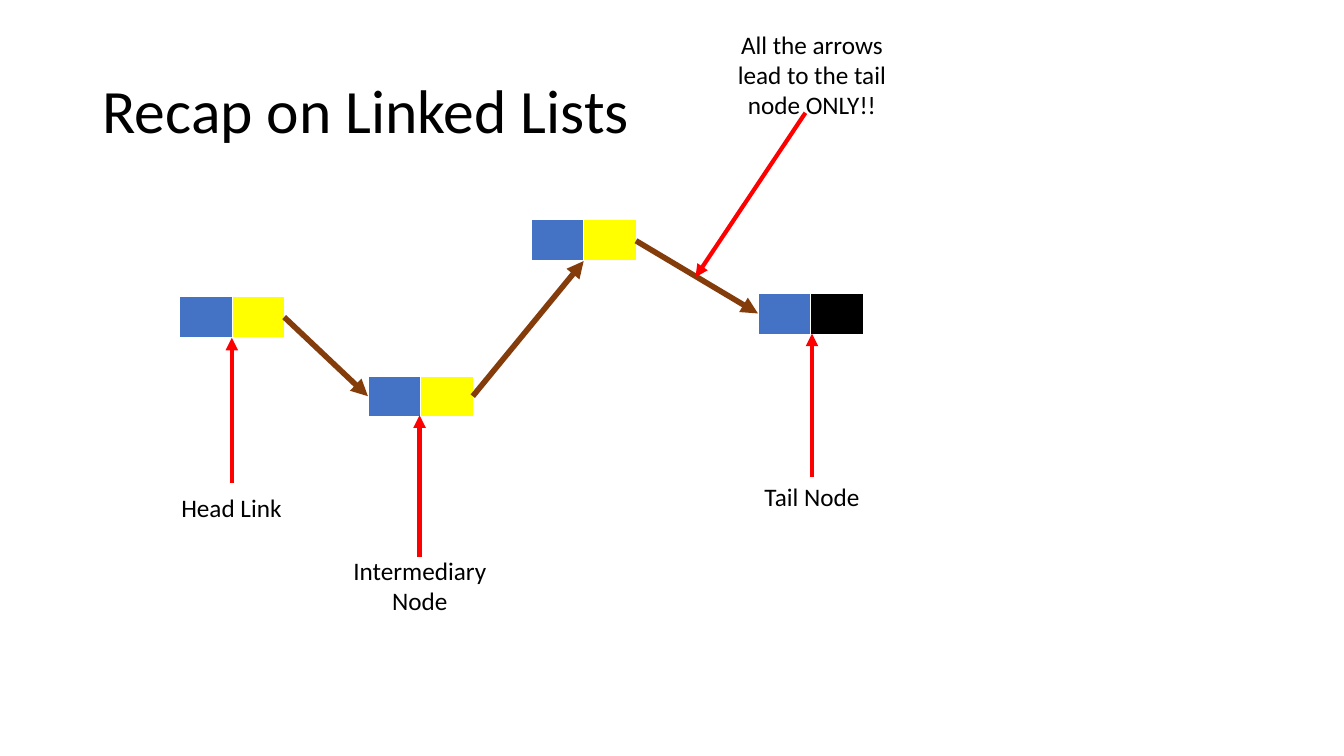
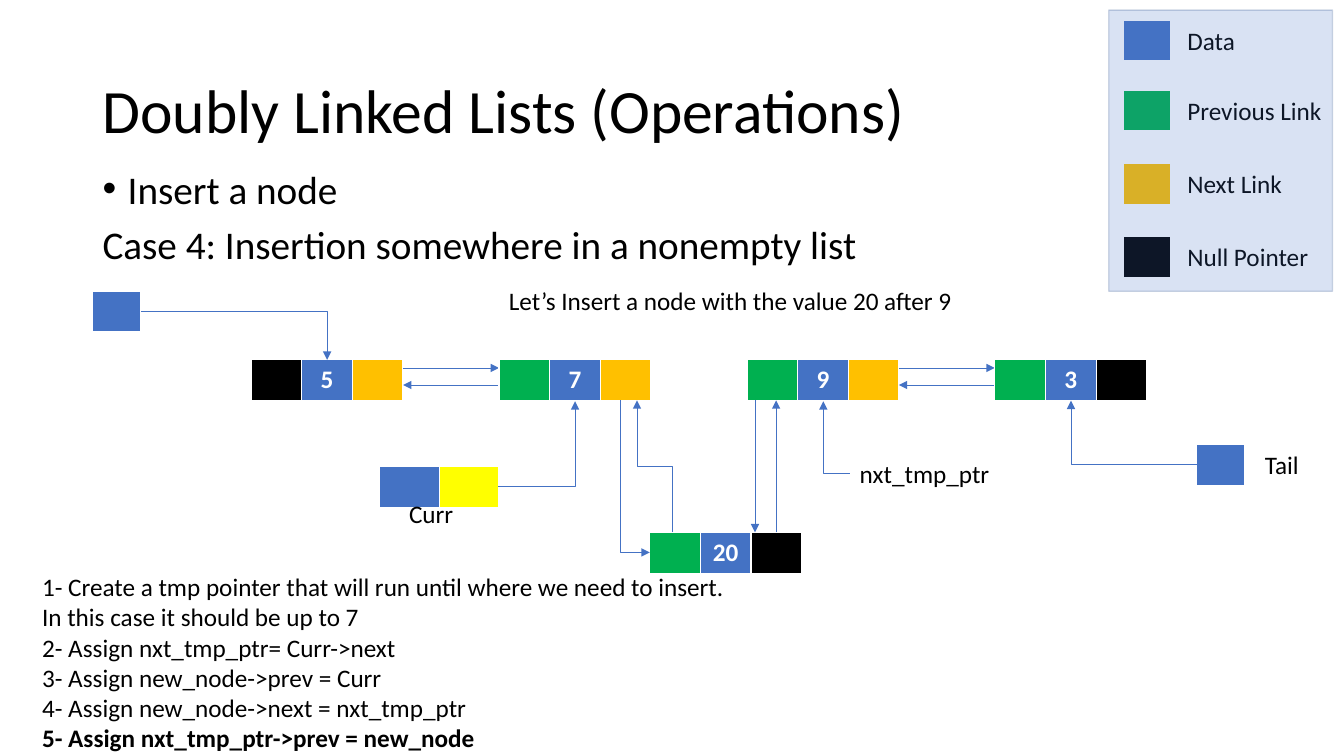
"""Builds two slides on linked lists: a recap and a doubly linked insertion."""
from dataclasses import dataclass

from lxml.etree import SubElement
from pptx import Presentation
from pptx.dml.color import RGBColor
from pptx.enum.shapes import MSO_CONNECTOR, MSO_SHAPE
from pptx.enum.text import MSO_ANCHOR, MSO_AUTO_SIZE, PP_ALIGN
from pptx.oxml.ns import qn
from pptx.slide import Slide
from pptx.util import Pt

Point = tuple[float, float]


@dataclass(frozen=True)
class Theme:
    font: str = "Calibri"
    title_size: float = 44
    body_size: float = 28
    label_size: float = 18
    text: str = "000000"
    white: str = "FFFFFF"
    data: str = "4472C4"
    previous: str = "00B050"
    following: str = "FFC000"
    link: str = "FFFF00"
    null: str = "000000"
    chain: str = "843C0B"
    pointer: str = "FF0000"
    legend_line: str = "325491"


THEME = Theme()
ROW_HEIGHT = 29.2
SINGLE_CELL = 37.6
DOUBLE_CELL = 36.2
POINTER_CELL = 34.2
CURRENT_CELL = 42.5


@dataclass(frozen=True)
class Label:
    lines: tuple[str, ...]
    left: float
    top: float
    width: float
    height: float = 28.8
    centred: bool = False
    wrap: bool = False
    size: float = THEME.label_size
    anchor: MSO_ANCHOR = MSO_ANCHOR.TOP


@dataclass(frozen=True)
class Node:
    left: float
    top: float
    cell_width: float
    fills: tuple[str, ...]
    value: str = ""


@dataclass(frozen=True)
class Arrow:
    start: Point
    end: Point
    color: str = THEME.data
    weight: float = 0.5


@dataclass(frozen=True)
class Elbow(Arrow):
    rotation: int = 0
    flips: str = ""
    bend: float | None = None


def style_paragraph(para, size: float, color: str, bold: bool = False) -> None:
    for span in para.runs:
        span.font.name = THEME.font
        span.font.size = Pt(size)
        span.font.bold = bold
        span.font.color.rgb = RGBColor.from_string(color)


def add_label(page: Slide, label: Label):
    box = page.shapes.add_textbox(
        Pt(label.left), Pt(label.top), Pt(label.width), Pt(label.height))
    frame = box.text_frame
    frame.text = "\n".join(label.lines)
    frame.word_wrap = label.wrap
    frame.vertical_anchor = label.anchor
    if label.size == THEME.label_size:
        frame.auto_size = MSO_AUTO_SIZE.SHAPE_TO_FIT_TEXT
    for para in frame.paragraphs:
        para.alignment = PP_ALIGN.CENTER if label.centred else PP_ALIGN.LEFT
        style_paragraph(para, label.size, THEME.text)
    return frame


def add_title(page: Slide, title: str) -> None:
    frame = add_label(page, Label(
        (title,), 66.2, 28.8, 828, 104.4, wrap=True,
        size=THEME.title_size, anchor=MSO_ANCHOR.MIDDLE))
    frame.paragraphs[0].line_spacing = 0.9


def add_node(page: Slide, node: Node) -> None:
    count = len(node.fills)
    table = page.shapes.add_table(
        1, count, Pt(node.left), Pt(node.top),
        Pt(node.cell_width * count), Pt(ROW_HEIGHT)).table
    table.horz_banding = False
    for index, fill in enumerate(node.fills):
        table.columns[index].width = Pt(node.cell_width)
        cell = table.cell(0, index)
        cell.fill.solid()
        cell.fill.fore_color.rgb = RGBColor.from_string(fill)
        if fill == THEME.data and node.value:
            cell.text_frame.text = node.value
            para = cell.text_frame.paragraphs[0]
            para.alignment = PP_ALIGN.CENTER
            style_paragraph(para, THEME.label_size, THEME.white, bold=True)


def style_arrow(connector, arrow: Arrow) -> None:
    connector.line.color.rgb = RGBColor.from_string(arrow.color)
    connector.line.width = Pt(arrow.weight)
    properties = connector.element.spPr
    SubElement(properties.find(qn("a:ln")), qn("a:tailEnd"), type="triangle")
    SubElement(properties, qn("a:effectLst"))


def add_arrow(page: Slide, arrow: Arrow) -> None:
    points = [Pt(value) for value in (*arrow.start, *arrow.end)]
    connector = page.shapes.add_connector(MSO_CONNECTOR.STRAIGHT, *points)
    style_arrow(connector, arrow)


def add_elbow(page: Slide, elbow: Elbow) -> None:
    (start_x, start_y), (end_x, end_y) = elbow.start, elbow.end
    width, height = abs(end_x - start_x), abs(end_y - start_y)
    if elbow.rotation % 180:
        width, height = height, width
    left = (start_x + end_x - width) / 2
    top = (start_y + end_y - height) / 2
    connector = page.shapes.add_connector(
        MSO_CONNECTOR.ELBOW, Pt(left), Pt(top), Pt(left + width), Pt(top + height))
    properties = connector.element.spPr
    transform = properties.find(qn("a:xfrm"))
    transform.set("rot", str(elbow.rotation * 60000))
    for flip in elbow.flips:
        transform.set(f"flip{flip}", "1")
    geometry = properties.find(qn("a:prstGeom"))
    if elbow.bend is None:
        geometry.set("prst", "bentConnector2")
    else:
        SubElement(geometry.find(qn("a:avLst")), qn("a:gd"),
                   name="adj1", fmla=f"val {round(elbow.bend * 100000)}")
    style_arrow(connector, elbow)


def add_opacity(color_format_parent, percent: int) -> None:
    color = color_format_parent.find(f".//{qn('a:srgbClr')}")
    SubElement(color, qn("a:alpha"), val=str(percent * 1000))


def add_legend(page: Slide) -> None:
    entries = (
        ("Data", THEME.data, 14.4, 49),
        ("Previous Link", THEME.previous, 64.4, 111.6),
        ("Next Link", THEME.following, 116.6, 82.8),
        ("Null Pointer", THEME.null, 168.8, 101.5),
    )
    for name, fill, top, width in entries:
        add_node(page, Node(802.1, top, POINTER_CELL, (fill,)))
        add_label(page, Label((name,), 841, top, width))
    panel = page.shapes.add_shape(
        MSO_SHAPE.RECTANGLE, Pt(792), Pt(7.2), Pt(159.8), Pt(200.9))
    panel.shadow.inherit = False
    panel.fill.solid()
    panel.fill.fore_color.rgb = RGBColor.from_string(THEME.data)
    panel.line.color.rgb = RGBColor.from_string(THEME.legend_line)
    panel.line.width = Pt(1)
    properties = panel.element.spPr
    add_opacity(properties.find(qn("a:solidFill")), 20)
    add_opacity(properties.find(qn("a:ln")), 24)


def add_body(page: Slide) -> None:
    frame = add_label(page, Label(
        ("Insert a node", "Case 4: Insertion somewhere in a nonempty list"),
        66.2, 80.6, 828, 439.2, wrap=True, size=THEME.body_size))
    for para, spacing in zip(frame.paragraphs, (2.0, 0.9)):
        para.line_spacing = spacing
        para.space_before = Pt(10)
    bullet = frame.paragraphs[0]._p.get_or_add_pPr()
    bullet.set("marL", str(Pt(18)))
    bullet.set("indent", str(Pt(-18)))
    SubElement(bullet, qn("a:buFont"), typeface="Arial")
    SubElement(bullet, qn("a:buChar"), char="•")


def build_recap(page: Slide) -> None:
    add_title(page, "Recap on Linked Lists")
    for left, top, end_fill in (
        (128.2, 211.7, THEME.link),
        (263, 268.7, THEME.link),
        (541.4, 209.5, THEME.null),
        (379.4, 157, THEME.link),
    ):
        add_node(page, Node(left, top, SINGLE_CELL, (THEME.data, end_fill)))
    for start, end in (
        ((203, 226.5), (262.8, 283)),
        ((337.7, 283), (416.9, 186.5)),
        ((454.3, 172), (541.4, 223.9)),
    ):
        add_arrow(page, Arrow(start, end, THEME.chain, 4))
    for start, end in (
        ((165.6, 344.9), (165.6, 241.2)),
        ((299.7, 398.2), (299.7, 296.6)),
        ((580, 340.6), (580, 238.3)),
        ((575.3, 80.6), (496.8, 198)),
    ):
        add_arrow(page, Arrow(start, end, THEME.pointer, 3))
    for label in (
        Label(("Head Link",), 122.4, 347.8, 87.1),
        Label(("Intermediary Node",), 226.8, 393.1, 146.2, 51.1, True, True),
        Label(("Tail Node",), 506.9, 340.6, 146.2, 28.8, True, True),
        Label(("All the arrows", "lead to the tail", "node ONLY!!"),
              506.9, 17.3, 146.2, 72.7, True, True),
    ):
        add_label(page, label)


def build_insertion(page: Slide) -> None:
    add_title(page, "Doubly Linked Lists (Operations)")
    add_body(page)
    first_left, node_step = 179.3, 177.1
    for index, (value, before, after) in enumerate((
        ("5", THEME.null, THEME.following),
        ("7", THEME.previous, THEME.following),
        ("9", THEME.previous, THEME.following),
        ("3", THEME.previous, THEME.null),
    )):
        left = first_left + index * node_step
        add_node(page, Node(left, 257, DOUBLE_CELL, (before, THEME.data, after), value))
        if index in (0, 2):
            right, next_left = left + 3 * DOUBLE_CELL, left + node_step
            add_arrow(page, Arrow((right, 262.8), (next_left, 262.8)))
            add_arrow(page, Arrow((next_left, 275), (right, 275)))
    add_legend(page)
    for node in (
        Node(66.2, 208, POINTER_CELL, (THEME.data,)),
        Node(854.9, 317.4, POINTER_CELL, (THEME.data,)),
        Node(464.1, 380.2, DOUBLE_CELL, (THEME.previous, THEME.data, THEME.null), "20"),
        Node(271.2, 333.2, CURRENT_CELL, (THEME.data, THEME.link)),
    ):
        add_node(page, node)
    for elbow in (
        Elbow((100.8, 222.5), (233.7, 257)),
        Elbow((854.9, 331.9), (765, 286.2), rotation=180),
        Elbow((356.2, 347.8), (410.8, 286.6), rotation=90, flips="HV", bend=0.005),
        Elbow((607, 338.4), (588.1, 286.6), rotation=180),
        Elbow((442.8, 286), (464.1, 394.6), rotation=270, flips="H"),
        Elbow((480.2, 380.2), (455, 286), rotation=270, flips="V", bend=0.5),
    ):
        add_elbow(page, elbow)
    add_arrow(page, Arrow((554.4, 380.2), (554.4, 286)))
    add_arrow(page, Arrow((539.3, 286), (539.3, 380.2)))
    for label in (
        Label(("Let’s Insert a node with the value 20 after 9",), 356.4, 200.2, 335.5),
        Label(("Tail",), 896.4, 317.5, 38.9),
        Label(("Curr",), 285.1, 352.1, 46.8),
        Label(("nxt_tmp_ptr",), 607, 324, 108),
    ):
        add_label(page, label)
    steps = add_label(page, Label((
        "1- Create a tmp pointer that will run until where we need to insert. "
        "In this case it should be up to 7",
        "2- Assign nxt_tmp_ptr= Curr->next",
        "3- Assign new_node->prev = Curr",
        "4- Assign new_node->next = nxt_tmp_ptr",
        "5- Assign nxt_tmp_ptr->prev = new_node",
    ), 23, 404.6, 510.5, 138.2, wrap=True))
    style_paragraph(steps.paragraphs[-1], THEME.label_size, THEME.text, bold=True)


def main() -> None:
    deck = Presentation()
    deck.slide_width, deck.slide_height = Pt(960), Pt(540)
    for build in (build_recap, build_insertion):
        build(deck.slides.add_slide(deck.slide_layouts[6]))
    deck.save("out.pptx")


if __name__ == "__main__":
    main()
